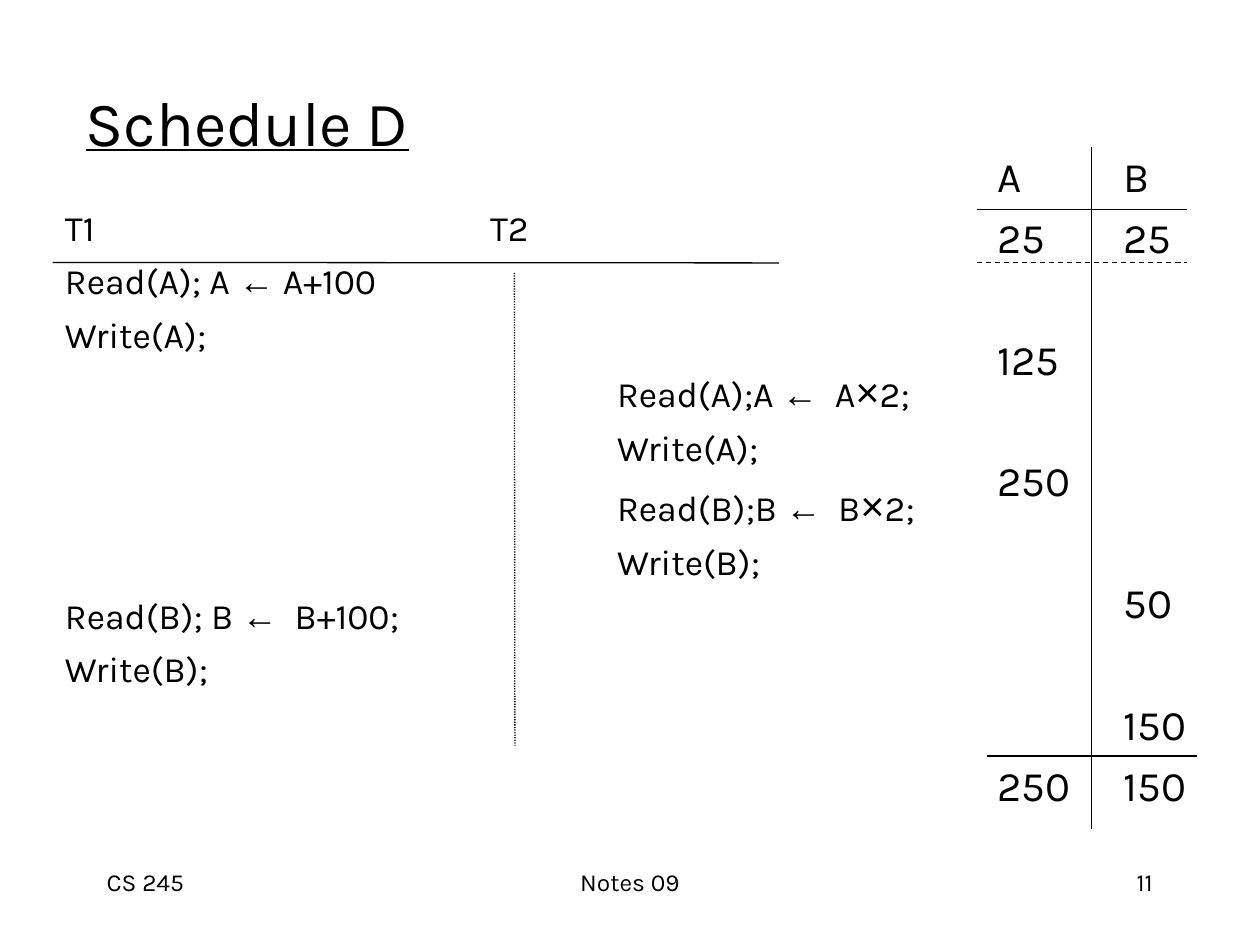
from dataclasses import dataclass
from itertools import groupby

from lxml import etree
from pptx import Presentation
from pptx.dml.color import RGBColor
from pptx.enum import dml, shapes, text
from pptx.oxml import ns
from pptx.util import Cm, Pt

LEFT, MID, RIGHT = text.PP_ALIGN.LEFT, text.PP_ALIGN.CENTER, text.PP_ALIGN.RIGHT
TOP, CORE = text.MSO_ANCHOR.TOP, text.MSO_ANCHOR.MIDDLE


@dataclass(frozen=True)
class Theme:
    ink: RGBColor = RGBColor(0, 0, 0)
    font: str = "Karla"
    sign: str = "Arial"
    title: float = 36
    code: float = 20.4
    times: float = 23.8
    value: float = 24
    foot: float = 14
    rule: float = 0.75
    gap: float = 6
    skip: float = 40.8  # gap that leaves one value row free


@dataclass(frozen=True)
class Line:
    words: str
    gap: float = 0


@dataclass(frozen=True)
class Box:
    """Text area in centimetres, with its tab stops."""
    x: float
    y: float
    w: float
    h: float
    size: float
    lines: tuple[Line, ...]
    align: int = LEFT
    anchor: int = TOP
    stops: tuple[float, ...] = ()
    under: bool = False


@dataclass(frozen=True)
class Rule:
    x1: float
    y1: float
    x2: float
    y2: float
    dash: int | None = None


T = Theme()
CODE = (
    "T1\tT2",
    "Read(A); A ← A+100",
    "Write(A);",
    "\t\tRead(A);A ←  A×2;",
    "\t\tWrite(A);",
    "\t\tRead(B);B ←  B×2;",
    "\t\tWrite(B);",
    "Read(B); B ←  B+100;",
    "Write(B);",
)
VALUES = (
    Line("A\tB", T.gap), Line("25\t25", T.gap),
    Line("125", T.skip), Line("250", T.skip),
    Line("\t50", T.skip), Line("\t150", T.skip),
    Line("250\t150", T.gap),
)
BOXES = (
    Box(1.48, 0.85, 21.59, 3.18, T.title, (Line("Schedule D"),),
        anchor=CORE, under=True),
    Box(1.06, 4.02, 18.2, 12.06, T.code,
        tuple(Line(row, T.gap) for row in CODE), stops=(8.57, 11.13)),
    Box(19.86, 2.9, 4.5, 13.56, T.value, VALUES, anchor=CORE, stops=(2.54,)),
    Box(1.9, 17.36, 5.29, 1.27, T.foot, (Line("CS 245"),)),
    Box(8.68, 17.36, 8.04, 1.27, T.foot, (Line("Notes 09"),), MID),
    Box(18.2, 17.36, 5.29, 1.27, T.foot, (Line("11"),), RIGHT),
)
RULES = (
    Rule(1.06, 5.29, 15.7, 5.3),
    Rule(10.37, 5.5, 10.38, 15.03, dml.MSO_LINE.ROUND_DOT),
    Rule(19.69, 4.23, 23.92, 4.23),
    Rule(19.69, 5.29, 23.92, 5.29, dml.MSO_LINE.DASH),
    Rule(22.01, 2.96, 22.01, 16.72),
    Rule(19.9, 15.24, 24.13, 15.24),
)


def add_runs(para, words: str, size: float, under: bool) -> None:
    """Set arrows and times signs in the sign font, the rest in the main one."""
    for mark, part in groupby(words, lambda c: c if c in "←×" else ""):
        run = para.add_run()
        run.text = "".join(part)
        run.font.name = T.sign if mark else T.font
        run.font.size = Pt(T.times if mark == "×" else size)
        run.font.color.rgb = T.ink
        if under:
            run.font.underline = True


def add_stops(para, stops: tuple[float, ...]) -> None:
    tabs = etree.SubElement(para._p.get_or_add_pPr(), ns.qn("a:tabLst"))
    for stop in stops:
        etree.SubElement(tabs, ns.qn("a:tab"), pos=str(Cm(stop)), algn="l")


def draw_box(slide, box: Box) -> None:
    area = slide.shapes.add_textbox(Cm(box.x), Cm(box.y), Cm(box.w), Cm(box.h))
    frame = area.text_frame
    frame.word_wrap = True
    frame.vertical_anchor = box.anchor
    for i, line in enumerate(box.lines):
        para = frame.add_paragraph() if i else frame.paragraphs[0]
        para.alignment = box.align
        para.space_before = Pt(line.gap)
        if box.stops:
            add_stops(para, box.stops)
        add_runs(para, line.words, box.size, box.under)


def draw_rule(slide, rule: Rule) -> None:
    line = slide.shapes.add_connector(
        shapes.MSO_CONNECTOR.STRAIGHT,
        Cm(rule.x1), Cm(rule.y1), Cm(rule.x2), Cm(rule.y2))
    line.line.color.rgb = T.ink
    line.line.width = Pt(T.rule)
    if rule.dash:
        line.line.dash_style = rule.dash
    etree.SubElement(line._element.spPr, ns.qn("a:effectLst"))


def main() -> None:
    deck = Presentation()
    deck.slide_width, deck.slide_height = Cm(25.4), Cm(19.05)
    slide = deck.slides.add_slide(deck.slide_layouts[6])
    for box in BOXES:
        draw_box(slide, box)
    for rule in RULES:
        draw_rule(slide, rule)
    deck.save("out.pptx")


if __name__ == "__main__":
    main()
